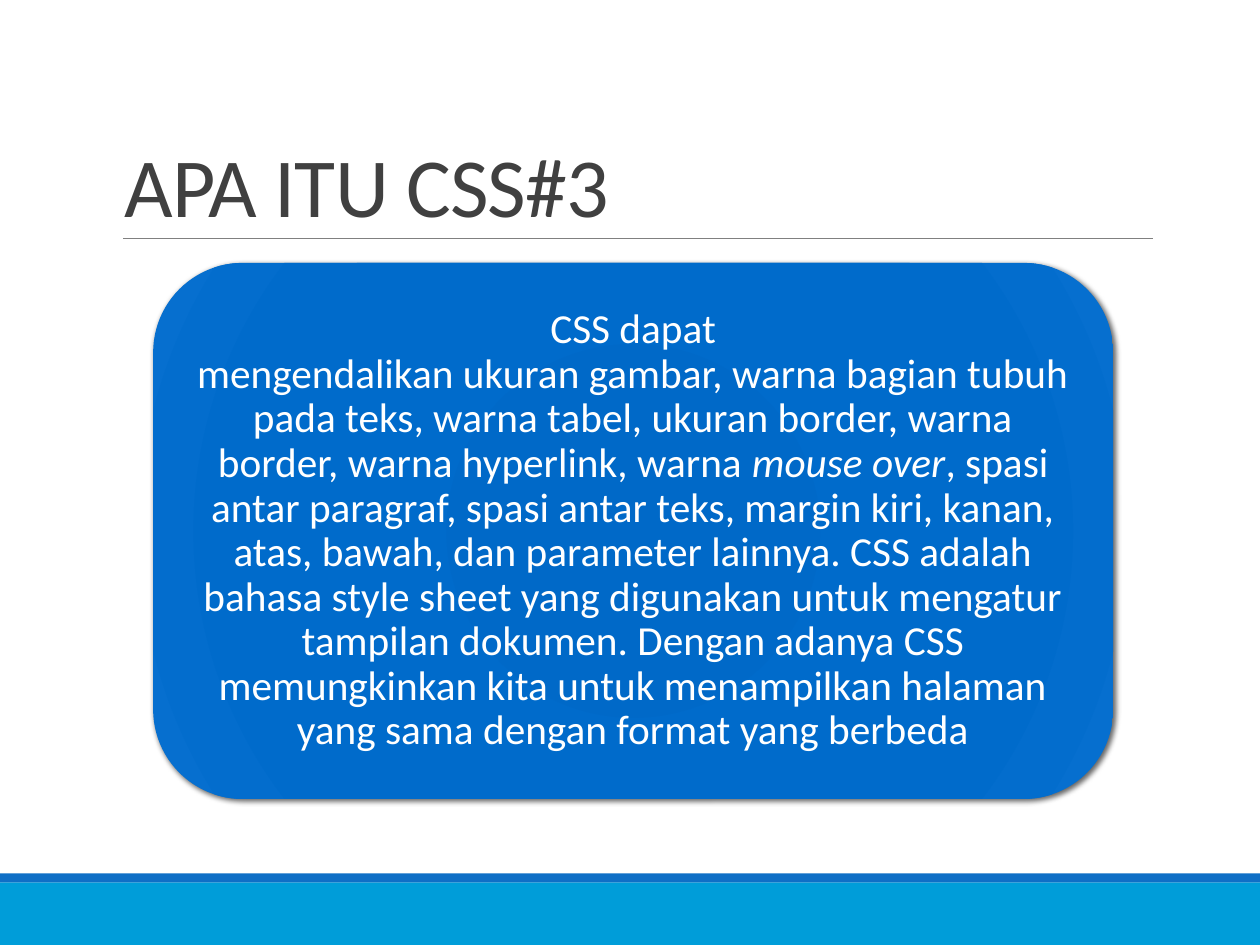
import dataclasses
import typing

import lxml.etree
import pptx
import pptx.dml.color
import pptx.enum.shapes
import pptx.enum.text
import pptx.oxml
import pptx.oxml.ns
import pptx.util

Inches = pptx.util.Inches
FONT = "Calibri"
HARD_SPACE = chr(160)
COLOURS = {
    "footer": "009DD9",
    "stripe": "0F6FC6",
    "rule": "808080",
    "title": "404040",
    "text": "FFFFFF",
    "shadow": "000000",
}
CARD_STOPS = {0: "0068C6", 34: "0069C8", 70: "006BCB", 100: "066FCF"}


@dataclasses.dataclass(frozen=True)
class Band:
    """A full-width strip at the foot of the slide."""

    top: float
    height: float
    colour: str


@dataclasses.dataclass(frozen=True)
class Span:
    """A stretch of card text, with "_" for each hard space."""

    text: str
    italic: bool = False


BANDS = [Band(7.72, 0.55, "footer"), Band(7.64, 0.08, "stripe")]
CARD_TEXT = [
    Span(
        "CSS dapat mengendalikan_ukuran_gambar,_warna_bagian tubuh pada teks, "
        "warna_tabel, ukuran border, warna border, warna_hyperlink, warna_"
    ),
    Span("mouse_over", italic=True),
    Span(
        ", spasi antar paragraf, spasi antar teks, margin kiri, kanan, atas, bawah, "
        "dan parameter lainnya. CSS adalah bahasa_style sheet_yang digunakan untuk "
        "mengatur tampilan dokumen. Dengan adanya CSS memungkinkan kita untuk "
        "menampilkan halaman yang sama dengan format yang berbeda"
    ),
]


def rgb(name: str) -> pptx.dml.color.RGBColor:
    """Return a named colour."""
    return pptx.dml.color.RGBColor.from_string(COLOURS[name])


def style_font(font: typing.Any, size: float, colour: str) -> None:
    """Set the typeface, size and colour of a font."""
    font.name = FONT
    font.size = pptx.util.Pt(size)
    font.color.rgb = rgb(colour)


def draw_band(page: typing.Any, band: Band, width: int) -> None:
    """Draw one strip across the slide."""
    box = page.shapes.add_shape(
        pptx.enum.shapes.MSO_SHAPE.RECTANGLE,
        0, Inches(band.top), width, Inches(band.height),
    )
    box.shadow.inherit = False
    box.fill.solid()
    box.fill.fore_color.rgb = rgb(band.colour)
    box.line.fill.background()


def draw_rule(page: typing.Any) -> None:
    """Draw the thin line under the title."""
    rule = page.shapes.add_connector(
        pptx.enum.shapes.MSO_CONNECTOR.STRAIGHT,
        Inches(1.08), Inches(2.09), Inches(10.09), Inches(2.09),
    )
    rule.line.color.rgb = rgb("rule")
    rule.line.width = pptx.util.Pt(0.5)
    lxml.etree.SubElement(rule._element.spPr, pptx.oxml.ns.qn("a:effectLst"))


def write_title(page: typing.Any) -> None:
    """Place and format the title."""
    title = page.shapes.title
    title.left, title.top = Inches(0.99), Inches(0.35)
    title.width, title.height = Inches(9.1), Inches(1.75)
    frame = title.text_frame
    frame.text = "APA ITU CSS#3"
    frame.auto_size = pptx.enum.text.MSO_AUTO_SIZE.NONE
    frame.vertical_anchor = pptx.enum.text.MSO_ANCHOR.BOTTOM
    para = frame.paragraphs[0]
    para.alignment = pptx.enum.text.PP_ALIGN.LEFT
    para.line_spacing = 0.85
    style_font(para.runs[0].font, 52.9, "title")
    para.runs[0]._r.get_or_add_rPr().set("spc", "-55")


def paint_card(card: typing.Any) -> None:
    """Give the card its radial gradient and soft shadow."""
    names = pptx.oxml.ns.nsdecls("a")
    stops = "".join(
        f'<a:gs pos="{place * 1000}"><a:srgbClr val="{colour}"/></a:gs>'
        for place, colour in CARD_STOPS.items()
    )
    gradient = pptx.oxml.parse_xml(
        f'<a:gradFill {names} rotWithShape="1"><a:gsLst>{stops}</a:gsLst>'
        '<a:path path="circle"><a:fillToRect l="100000" t="100000" r="100000" '
        'b="100000"/></a:path></a:gradFill>'
    )
    effects = pptx.oxml.parse_xml(
        f'<a:effectLst {names}><a:outerShdw blurRad="{pptx.util.Pt(3.5)}" '
        f'dist="{pptx.util.Pt(2)}" dir="2700000" algn="tl" rotWithShape="0">'
        f'<a:srgbClr val="{COLOURS["shadow"]}"><a:alpha val="60000"/></a:srgbClr>'
        "</a:outerShdw></a:effectLst>"
    )
    card.line.fill.background()
    properties = card._element.spPr
    properties.find(pptx.oxml.ns.qn("a:prstGeom")).addnext(gradient)
    properties.append(effects)


def draw_card(page: typing.Any) -> None:
    """Draw the rounded card and its text."""
    card = page.shapes.add_shape(
        pptx.enum.shapes.MSO_SHAPE.ROUNDED_RECTANGLE,
        Inches(1.34), Inches(2.3), Inches(8.4), Inches(4.69),
    )
    card.adjustments[0] = 0.167
    paint_card(card)
    frame = card.text_frame
    frame.word_wrap = True
    frame.vertical_anchor = pptx.enum.text.MSO_ANCHOR.MIDDLE
    frame.margin_left = frame.margin_right = Inches(0.11)
    frame.margin_top = frame.margin_bottom = Inches(0.11)
    para = frame.paragraphs[0]
    para.alignment = pptx.enum.text.PP_ALIGN.CENTER
    para.line_spacing = 0.9
    for span in CARD_TEXT:
        run = para.add_run()
        run.text = span.text.replace("_", HARD_SPACE)
        style_font(run.font, 26, "text")
        run.font.italic = span.italic


def main() -> None:
    """Build and save the slide."""
    deck = pptx.Presentation()
    deck.slide_width, deck.slide_height = Inches(28 / 2.54), Inches(21 / 2.54)
    page = deck.slides.add_slide(deck.slide_layouts.get_by_name("Title Only"))
    for band in BANDS:
        draw_band(page, band, deck.slide_width)
    draw_rule(page)
    write_title(page)
    draw_card(page)
    deck.save("out.pptx")


if __name__ == "__main__":
    main()
